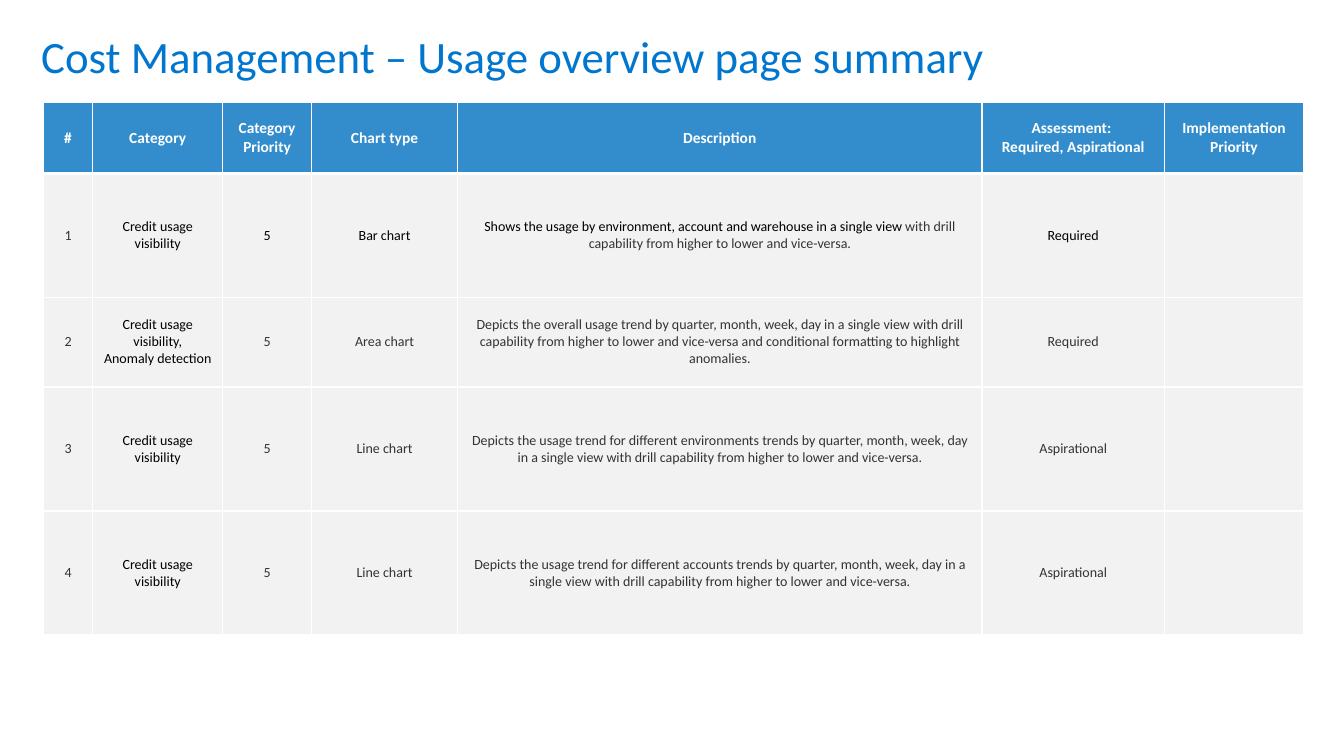
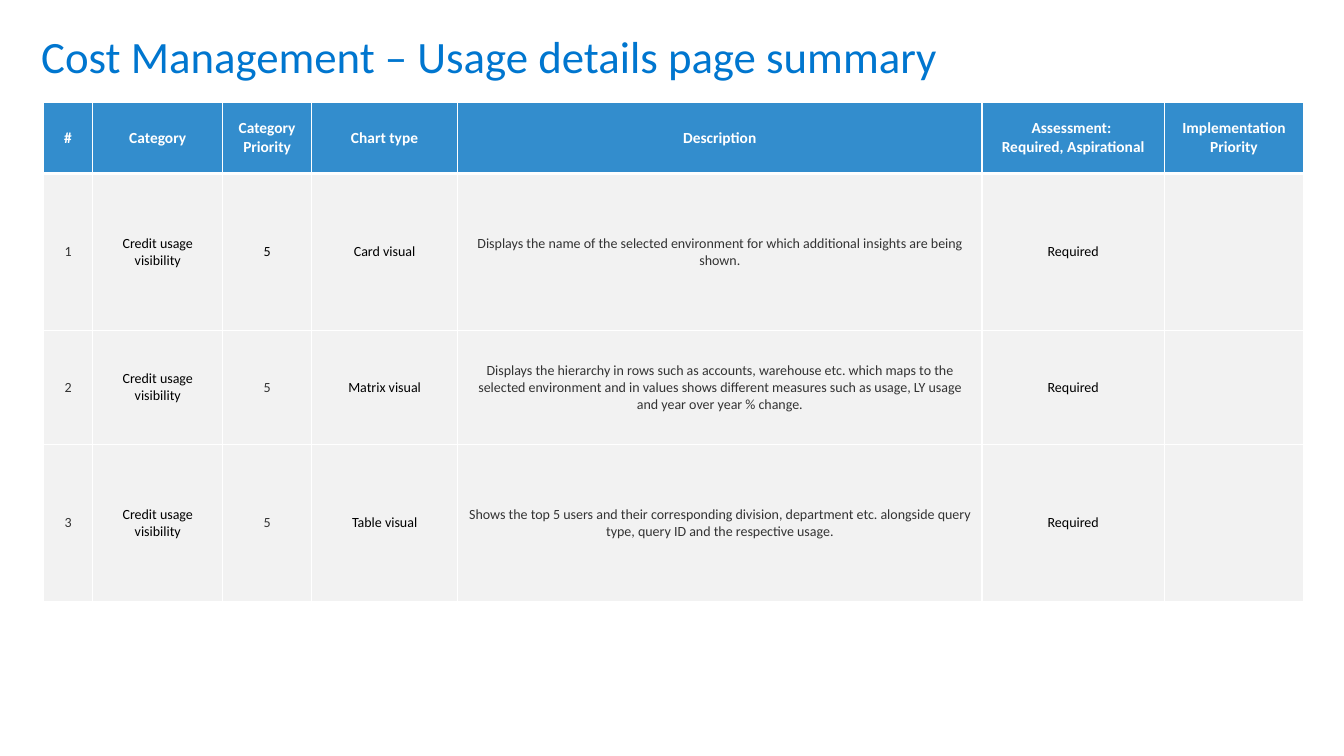
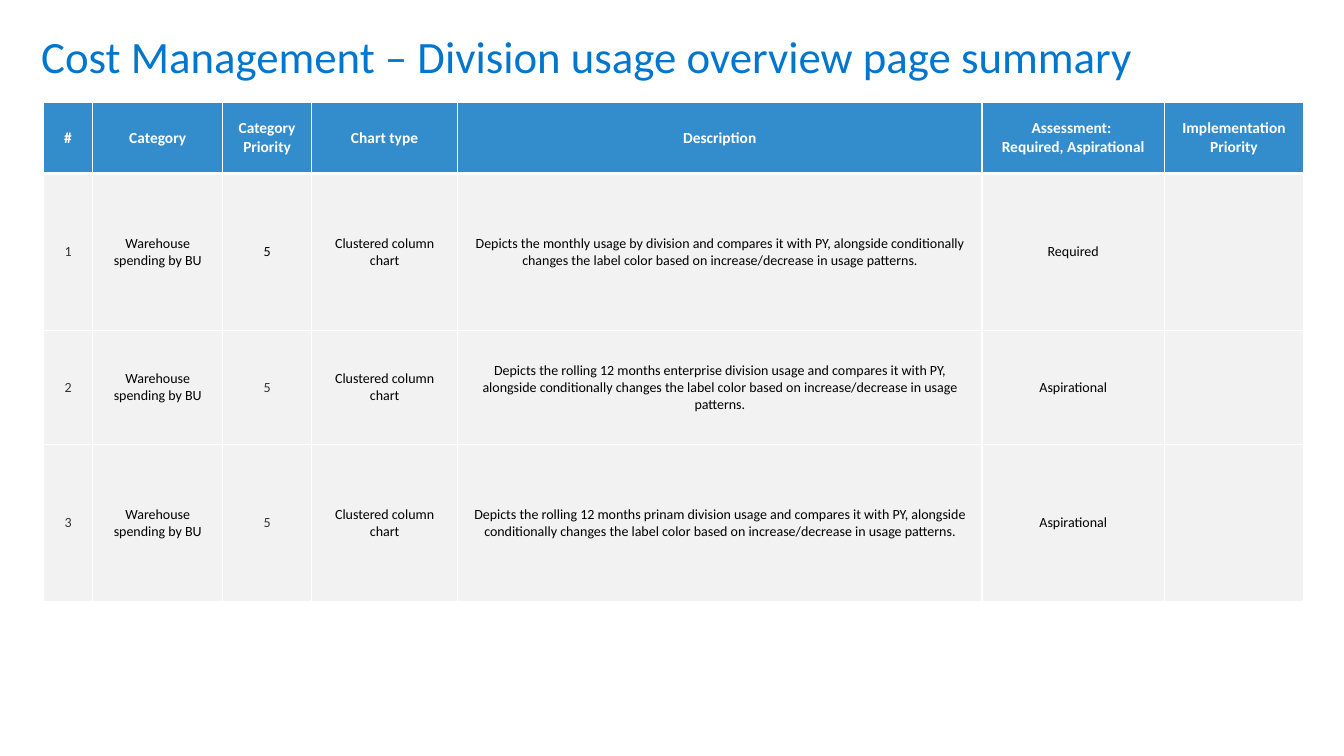
import pptx
import pptx.dml.color
import pptx.enum.text
import pptx.oxml
import pptx.oxml.ns
import pptx.util
from pptx.util import Inches

FONT = "Calibri"
TITLE_BLUE, HEADER_BLUE = "0076CF", "338DCD"
WHITE, PALE_GREY, DARK_GREY, BLACK = "FFFFFF", "F2F2F2", "333333", "000000"

TITLE_FORMAT = {"size": 32, "color": TITLE_BLUE}
HEADER_FORMAT = {"size": 11, "bold": True, "color": WHITE}
BODY_FORMAT = {"size": 10, "bold": False}

HEADERS = ["#", "Category", "Category Priority", "Chart type", "Description",
           "Assessment: \nRequired, Aspirational", "Implementation Priority"]
COLUMN_WIDTHS = [0.49, 1.29, 0.88, 1.45, 5.2, 1.81, 1.38]
HEADER_HEIGHT = 0.7
CATEGORY, PRIORITY, CHART, DESCRIPTION, ASSESSMENT = range(1, 6)
FIRST_ROW_BLACK = {CATEGORY, PRIORITY, CHART, ASSESSMENT}

CREDIT = "Credit usage visibility"
SPENDING = "Warehouse spending by BU"
COLUMN_CHART = "Clustered column chart"

# Each row: category, chart type, description, assessment.
# A list holds paragraphs; a tuple holds (text, colour) spans.
PAGES = [
    {
        "title": "Cost Management – Usage overview page summary",
        "heights": [1.23, 0.89, 1.23, 1.23],
        "black": {CATEGORY},
        "rows": [
            (CREDIT, "Bar chart",
             [(("Shows the usage by environment, account and warehouse in a single view ", BLACK),
               ("with drill capability from higher to lower and vice-versa.", DARK_GREY))],
             "Required"),
            ([CREDIT + ",", "Anomaly detection"], "Area chart",
             "Depicts the overall usage trend by quarter, month, week, day in a single view with "
             "drill capability from higher to lower and vice-versa and conditional formatting to "
             "highlight anomalies.", "Required"),
            (CREDIT, "Line chart",
             "Depicts the usage trend for different environments trends by quarter, month, week, "
             "day in a single view with drill capability from higher to lower and vice-versa.",
             "Aspirational"),
            (CREDIT, "Line chart",
             "Depicts the usage trend for different accounts trends by quarter, month, week, day "
             "in a single view with drill capability from higher to lower and vice-versa.",
             "Aspirational"),
        ],
    },
    {
        "title": "Cost Management – Usage details page summary",
        "heights": [1.56, 1.13, 1.56],
        "black": {CATEGORY, CHART, ASSESSMENT},
        "rows": [
            (CREDIT, "Card visual",
             "Displays the name of the selected environment for which additional insights are "
             "being shown.", "Required"),
            (CREDIT, "Matrix visual",
             "Displays the hierarchy in rows such as accounts, warehouse etc. which maps to the "
             "selected environment and in values shows different measures such as usage, LY usage "
             "and year over year % change.", "Required"),
            (CREDIT, "Table visual",
             "Shows the top 5 users and their corresponding division, department etc. alongside "
             "query type, query ID and the respective usage.", "Required"),
        ],
    },
    {
        "title": "Cost Management – Division usage overview page summary",
        "heights": [1.56, 1.13, 1.56],
        "black": {CATEGORY, CHART, DESCRIPTION, ASSESSMENT},
        "rows": [
            (SPENDING, COLUMN_CHART,
             "Depicts the monthly usage by division and compares it with PY, alongside "
             "conditionally changes the label color based on increase/decrease in usage patterns.",
             "Required"),
            (SPENDING, COLUMN_CHART,
             "Depicts the rolling 12 months enterprise division usage and compares it with PY, "
             "alongside conditionally changes the label color based on increase/decrease in usage "
             "patterns.", "Aspirational"),
            (SPENDING, COLUMN_CHART,
             "Depicts the rolling 12 months prinam division usage and compares it with PY, "
             "alongside conditionally changes the label color based on increase/decrease in usage "
             "patterns.", "Aspirational"),
        ],
    },
]


def rgb(color):
    return pptx.dml.color.RGBColor.from_string(color)


def format_font(font, values):
    for name, value in {"name": FONT, **values}.items():
        if name == "color":
            font.color.rgb = rgb(value)
        else:
            setattr(font, name, pptx.util.Pt(value) if name == "size" else value)


def write_cell(cell, content, values):
    """Fill a cell from a string, or from a list of strings and span tuples."""
    cell.vertical_anchor = pptx.enum.text.MSO_ANCHOR.MIDDLE
    paragraphs = content if isinstance(content, list) else [content]
    for index, content_line in enumerate(paragraphs):
        frame = cell.text_frame
        para = frame.add_paragraph() if index else frame.paragraphs[0]
        para.alignment = pptx.enum.text.PP_ALIGN.CENTER
        if isinstance(content_line, tuple):
            for text, color in content_line:
                span = para.add_run()
                span.text = text
                format_font(span.font, {**values, "color": color})
        else:
            para.text = content_line
            for span in para.runs:
                format_font(span.font, values)


def paint_cell(cell, fill, top=1, bottom=1):
    """Give a cell white borders, widths in points, and a solid fill."""
    properties = cell._tc.get_or_add_tcPr()
    for side, width in {"L": 1, "R": 1, "T": top, "B": bottom}.items():
        properties.append(pptx.oxml.parse_xml(
            f'<a:ln{side} {pptx.oxml.ns.nsdecls("a")} w="{pptx.util.Pt(width)}">'
            f'<a:solidFill><a:srgbClr val="{WHITE}"/></a:solidFill></a:ln{side}>'))
    cell.fill.solid()
    cell.fill.fore_color.rgb = rgb(fill)


def add_title(slide, text):
    box = slide.shapes.add_textbox(Inches(0.31), Inches(0.24), Inches(13.02), Inches(0.56))
    box.text_frame.word_wrap = True
    para = box.text_frame.paragraphs[0]
    para.text = text
    format_font(para.runs[0].font, TITLE_FORMAT)


def add_summary_table(slide, page):
    heights = [HEADER_HEIGHT] + page["heights"]
    table = slide.shapes.add_table(
        len(heights), len(HEADERS), Inches(0.43), Inches(1.02),
        Inches(sum(COLUMN_WIDTHS)), Inches(sum(heights))).table
    table.horz_banding = False
    for column, width in zip(table.columns, COLUMN_WIDTHS):
        column.width = Inches(width)
    for row, height in zip(table.rows, heights):
        row.height = Inches(height)

    for column, header in enumerate(HEADERS):
        cell = table.cell(0, column)
        paint_cell(cell, HEADER_BLUE, bottom=3)
        write_cell(cell, header, HEADER_FORMAT)

    for number, (category, chart, description, assessment) in enumerate(page["rows"], 1):
        first = number == 1
        black = page["black"] | FIRST_ROW_BLACK if first else page["black"]
        contents = [str(number), category, "5", chart, description, assessment, ""]
        for column, content in enumerate(contents):
            cell = table.cell(number, column)
            paint_cell(cell, PALE_GREY, top=3 if first else 1)
            color = BLACK if column in black else DARK_GREY
            write_cell(cell, content, {**BODY_FORMAT, "color": color})


def main():
    deck = pptx.Presentation()
    deck.slide_width, deck.slide_height = Inches(13.33), Inches(7.5)
    for page in PAGES:
        slide = deck.slides.add_slide(deck.slide_layouts[6])
        add_title(slide, page["title"])
        add_summary_table(slide, page)
    deck.save("out.pptx")


if __name__ == "__main__":
    main()
